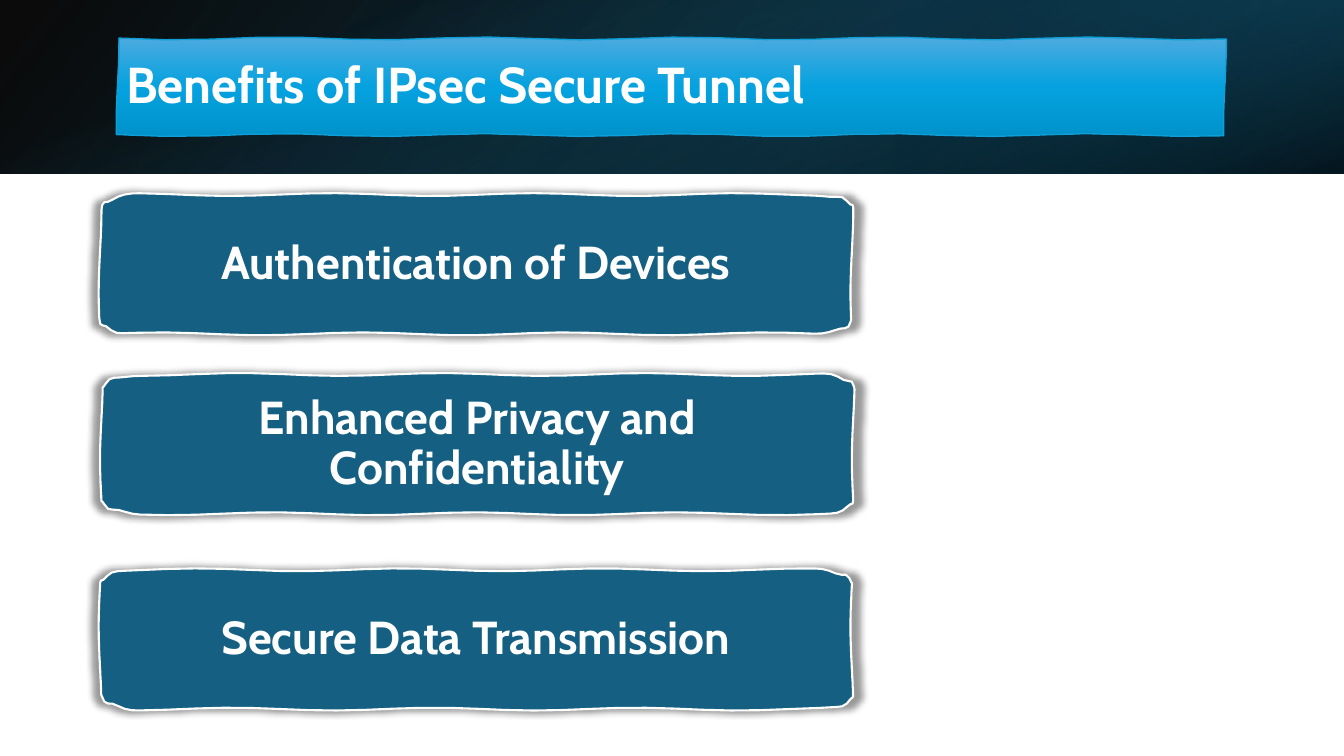
from math import cos, pi, sin

from lxml.etree import SubElement
from pptx import Presentation
from pptx.dml.color import RGBColor
from pptx.enum.shapes import MSO_SHAPE
from pptx.enum.text import MSO_ANCHOR, PP_ALIGN
from pptx.oxml.ns import qn
from pptx.util import Pt

WIDTH, HEIGHT, BANNER_HEIGHT = 960, 540, 124
BENEFITS = [
    ("Authentication of Devices", 71.5, 139),
    ("Enhanced Privacy and Confidentiality", 72.5, 267.5),
    ("Secure Data Transmission", 71.5, 407),
]


def color(hex_string):
    """Turn a hex string into a colour."""
    return RGBColor.from_string(hex_string)


def add_element(parent, tag, **attributes):
    """Append a DrawingML element with the given attributes."""
    values = {name: str(value) for name, value in attributes.items()}
    return SubElement(parent, qn(tag), values)


def add_color(parent, hex_string, opacity):
    """Append a colour with an opacity in percent."""
    element = add_element(parent, "a:srgbClr", val=hex_string)
    add_element(element, "a:alpha", val=opacity * 1000)


def set_gradient(shape, stops, angle):
    """Fill a shape with (position, hex, opacity) stops along an angle."""
    properties = shape.element.spPr
    gradient = add_element(properties, "a:gradFill", rotWithShape=1)
    properties.insert(2, gradient)
    stop_list = add_element(gradient, "a:gsLst")
    for position, hex_string, opacity in stops:
        stop = add_element(stop_list, "a:gs", pos=position * 1000)
        add_color(stop, hex_string, opacity)
    add_element(gradient, "a:lin", ang=angle * 60000, scaled=0)


def set_glow_shadow(shape, hex_string, opacity, blur):
    """Give a shape a soft shadow on all sides."""
    effects = shape.element.spPr.find(qn("a:effectLst"))
    shadow = add_element(effects, "a:outerShdw", blurRad=Pt(blur), dist=0, dir=0,
                         sx=102000, sy=102000, algn="ctr", rotWithShape=0)
    add_color(shadow, hex_string, opacity)


def sketched_outline(box, radius_x, radius_y, wobble=1, steps=24):
    """Return the points of a hand-drawn, optionally rounded rectangle."""
    left, top, width, height = box
    right, bottom = left + width, top + height
    corners = []
    for x, y, start in [
        (left + radius_x, top + radius_y, pi),
        (right - radius_x, top + radius_y, 1.5 * pi),
        (right - radius_x, bottom - radius_y, 0),
        (left + radius_x, bottom - radius_y, 0.5 * pi),
    ]:
        angles = [start + step * pi / 16 for step in range(9)]
        corners.append([(x + radius_x * cos(a), y + radius_y * sin(a)) for a in angles])
    points = []
    for index, corner in enumerate(corners):
        x, y = corner[-1]
        next_x, next_y = corners[(index + 1) % 4][0]
        edge = [(x + (next_x - x) * step / steps, y + (next_y - y) * step / steps)
                for step in range(1, steps)]
        points += corner + edge
    return [(Pt(x + wobble * sin(y / 19)), Pt(y + wobble * sin(x / 23 + y)))
            for x, y in points]


def add_sketched_box(slide, box, radius_x, radius_y, line_color, line_width):
    """Draw a hand-drawn rectangle without a fill."""
    points = sketched_outline(box, radius_x, radius_y)
    builder = slide.shapes.build_freeform(*points[0])
    builder.add_line_segments(points[1:], close=True)
    shape = builder.convert_to_shape()
    shape.shadow.inherit = False
    shape.line.color.rgb = color(line_color)
    shape.line.width = Pt(line_width)
    return shape


def write_text(shape, text, size, alignment, margin_x, margin_y):
    """Write one bold white paragraph, centred vertically in a shape."""
    frame = shape.text_frame
    paragraph = frame.paragraphs[0]
    run = paragraph.add_run()
    run.text = text
    run.font.color.rgb = color("FFFFFF")
    formats = [
        (frame, {"word_wrap": True, "vertical_anchor": MSO_ANCHOR.MIDDLE,
                 "margin_left": Pt(margin_x), "margin_right": Pt(margin_x),
                 "margin_top": Pt(margin_y), "margin_bottom": Pt(margin_y)}),
        (paragraph, {"alignment": alignment, "line_spacing": 0.9}),
        (run.font, {"name": "Cabin", "size": Pt(size), "bold": True}),
    ]
    for target, values in formats:
        for name, value in values.items():
            setattr(target, name, value)


def add_banner_layer(slide, box, stops, angle, rotation=0, flipped=False):
    """Add one translucent gradient rectangle of the banner."""
    shape = slide.shapes.add_shape(MSO_SHAPE.RECTANGLE, *map(Pt, box))
    shape.shadow.inherit = False
    shape.line.fill.background()
    shape.rotation = rotation
    if flipped:
        shape.element.spPr.xfrm.set("flipH", "1")
    set_gradient(shape, stops, angle)


def add_banner(slide, box):
    """Draw the dark banner from three gradient layers."""
    left, top, width, height = box
    add_banner_layer(slide, box, [(0, "000000", 96), (100, "104862", 100)], 140,
                     flipped=True)
    add_banner_layer(slide, (left + width * 2 / 3, top, width / 3, height),
                     [(19, "0B3041", 68), (100, "156082", 79)], 320,
                     rotation=180, flipped=True)
    offset = (width - height) / 2
    add_banner_layer(slide, (left + offset, top - offset, height, width),
                     [(23, "156082", 0), (99, "000000", 74)], 340, rotation=90)


def add_title(slide, box, text):
    """Draw the blue brushed title bar."""
    shape = add_sketched_box(slide, box, 0, 0, "0F9ED5", 1)
    set_gradient(shape, [(0, "4CAADF", 100), (50, "05A2DF", 100),
                         (100, "0092CB", 100)], 90)
    write_text(shape, text, 36, PP_ALIGN.LEFT, 7.2, 3.6)


def add_benefit(slide, box, text):
    """Draw one benefit card."""
    shape = add_sketched_box(slide, box, 27, 10, "FFFFFF", 1.5)
    shape.fill.solid()
    shape.fill.fore_color.rgb = color("156082")
    set_glow_shadow(shape, "000000", 40, 5)
    write_text(shape, text, 33, PP_ALIGN.CENTER, 9, 7)


def main():
    """Build the slide and save it."""
    presentation = Presentation()
    presentation.slide_width = Pt(WIDTH)
    presentation.slide_height = Pt(HEIGHT)
    slide = presentation.slides.add_slide(presentation.slide_layouts[6])
    add_banner(slide, (0, 0, WIDTH, BANNER_HEIGHT))
    for text, left, top in BENEFITS:
        add_benefit(slide, (left, top, 537, 99.5), text)
    add_title(slide, (84, 27.5, 791, 69), "Benefits of IPsec Secure Tunnel")
    presentation.save("out.pptx")


if __name__ == "__main__":
    main()
